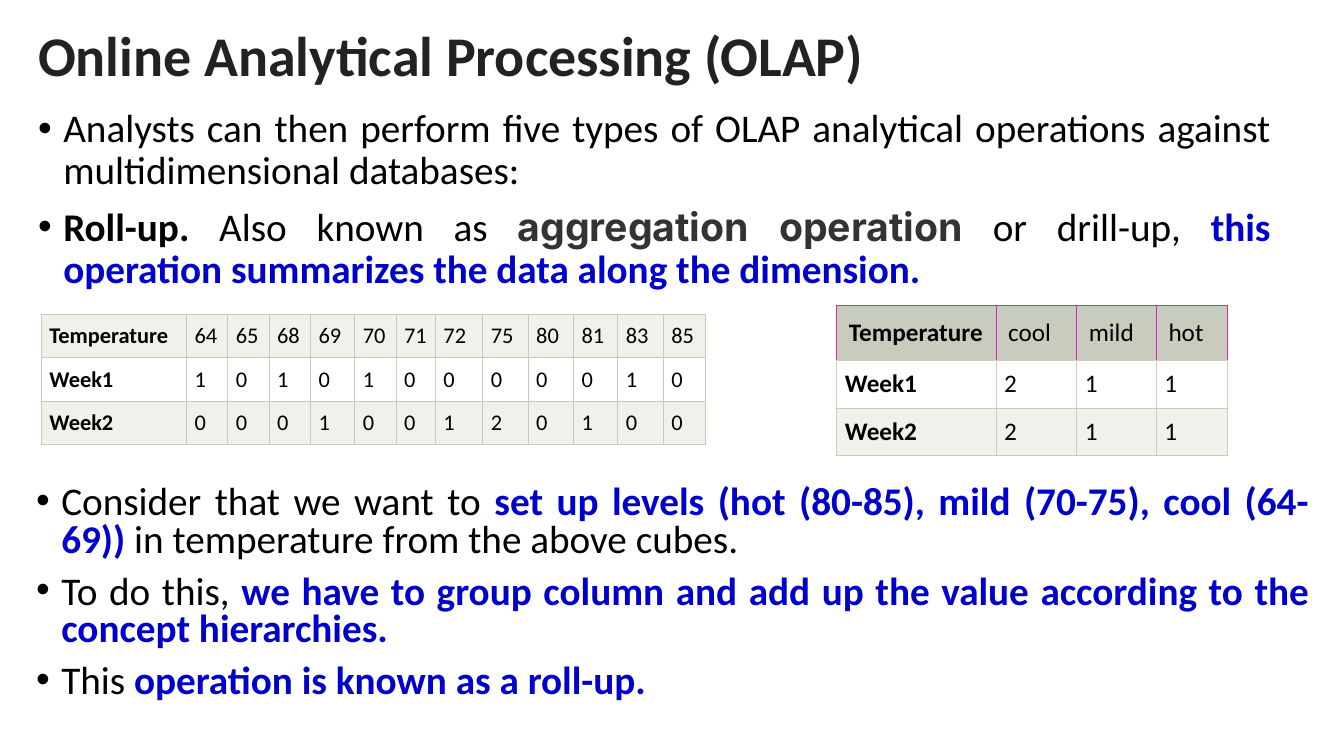
"""Build a slide on the OLAP roll-up operation with its two example tables."""
from dataclasses import dataclass

from lxml.etree import SubElement
from pptx import Presentation
from pptx.dml.color import RGBColor
from pptx.enum.text import MSO_ANCHOR, PP_ALIGN
from pptx.oxml.ns import qn
from pptx.util import Inches, Pt


@dataclass(frozen=True)
class Theme:
    """Fonts, sizes in points and colours of the slide."""
    body_font: str = "Calibri"
    accent_font: str = "Inter"
    title_size: int = 40
    text_size: int = 28
    wide_size: int = 16
    narrow_size: int = 18
    title: str = "222222"
    ink: str = "000000"
    key: str = "0000CC"
    term: str = "333333"
    grid: str = "C7CCBE"
    band: str = "EFF1EB"
    paper: str = "FFFFFF"
    edge: str = "E021AF"


THEME = Theme()

RUN_STYLES = {
    "plain": (THEME.body_font, THEME.ink, False),
    "bold": (THEME.body_font, THEME.ink, True),
    "title": (THEME.body_font, THEME.title, True),
    "key": (THEME.body_font, THEME.key, True),
    "term": (THEME.accent_font, THEME.term, True),
}

TITLE = [[("Online Analytical Processing (OLAP)", "title")]]

OPERATIONS = [
    [("Analysts can then perform five types of OLAP analytical operations "
      "against multidimensional databases:", "plain")],
    [("Roll-up.", "bold"), (" Also known as ", "plain"),
     ("aggregation operation ", "term"), ("or drill-up, ", "plain"),
     ("this operation summarizes the data along the dimension.", "key")],
]

LEVELS = [
    [("Consider that we want to ", "plain"),
     ("set up levels (hot (80-85), mild (70-75), cool (64-69)) ", "key"),
     ("in temperature from the above cubes.", "plain")],
    [("To do this, ", "plain"),
     ("we have to group column and add up the value according to the "
      "concept hierarchies.", "key")],
    [("This ", "plain"), ("operation is known as a roll-up.", "key")],
]

DAILY = [
    ("Temperature", 64, 65, 68, 69, 70, 71, 72, 75, 80, 81, 83, 85),
    ("Week1", 1, 0, 1, 0, 1, 0, 0, 0, 0, 0, 1, 0),
    ("Week2", 0, 0, 0, 1, 0, 0, 1, 2, 0, 1, 0, 0),
]
DAILY_WIDTHS = (1.44, .41, .41, .41, .44, .41, .39, .47, .45, .45, .44, .45, .42)

ROLLED_UP = [
    ("Temperature", "cool", "mild", "hot"),
    ("Week1", 2, 1, 1),
    ("Week2", 2, 1, 1),
]
ROLLED_UP_WIDTHS = (1.58, .8, .79, .7)


def write(frame, paragraphs, *, size, align=PP_ALIGN.LEFT, spacing=None, bullet=False):
    """Write paragraphs of (text, style) runs into a text frame."""
    for index, runs in enumerate(paragraphs):
        paragraph = frame.add_paragraph() if index else frame.paragraphs[0]
        paragraph.alignment = align
        if spacing:
            paragraph.line_spacing = spacing
        if index:
            paragraph.space_before = Pt(10)
        if bullet:
            properties = paragraph._p.get_or_add_pPr()
            properties.set("marL", str(Inches(.25)))
            properties.set("indent", str(-Inches(.25)))
            SubElement(properties, qn("a:buFont"), typeface="Arial")
            SubElement(properties, qn("a:buChar"), char="•")
        for text, style in runs:
            run = paragraph.add_run()
            run.text = text
            face, color, bold = RUN_STYLES[style]
            run.font.name, run.font.size, run.font.bold = face, Pt(size), bold
            run.font.color.rgb = RGBColor.from_string(color)


def add_text(slide, box, paragraphs, anchor=MSO_ANCHOR.TOP, **text_format):
    """Add a wrapping text box."""
    frame = slide.shapes.add_textbox(*map(Inches, box)).text_frame
    frame.word_wrap = True
    frame.vertical_anchor = anchor
    write(frame, paragraphs, **text_format)


def paint_cell(cell, fill, margin, edge):
    """Set borders, fill and margins; edge colours all sides but the bottom."""
    properties = cell._tc.get_or_add_tcPr()
    for side, color in zip("LRTB", (edge, edge, edge, THEME.grid)):
        line = SubElement(properties, qn(f"a:ln{side}"), w=str(Pt(.75)))
        SubElement(SubElement(line, qn("a:solidFill")), qn("a:srgbClr"), val=color)
    cell.fill.solid()
    cell.fill.fore_color.rgb = RGBColor.from_string(fill)
    cell.margin_left = cell.margin_right = Inches(margin)
    cell.margin_top = cell.margin_bottom = Inches(margin)


def add_grid(slide, left, top, rows, widths, heights, size, strong_header=False):
    """Add a banded table with a bold first column."""
    table = slide.shapes.add_table(
        len(rows), len(widths), Inches(left), Inches(top),
        Inches(sum(widths)), Inches(sum(heights))).table
    table.first_row = table.horz_banding = False
    for column, width in zip(table.columns, widths):
        column.width = Inches(width)
    for r, (values, height) in enumerate(zip(rows, heights)):
        table.rows[r].height = Inches(height)
        strong = strong_header and r == 0
        banded = THEME.paper if r % 2 else THEME.band
        for c, value in enumerate(values):
            cell = table.cell(r, c)
            paint_cell(cell, THEME.grid if strong else banded,
                       .12 if strong else .08,
                       THEME.edge if strong else THEME.grid)
            write(cell.text_frame, [[(str(value), "plain" if c else "bold")]], size=size,
                  align=PP_ALIGN.LEFT if strong else PP_ALIGN.JUSTIFY)


def main():
    """Compose and save the slide."""
    deck = Presentation()
    deck.slide_width, deck.slide_height = Inches(13.33), Inches(7.5)
    slide = deck.slides.add_slide(deck.slide_layouts[6])
    bullets = dict(size=THEME.text_size, align=PP_ALIGN.JUSTIFY, bullet=True)

    add_text(slide, (.28, .13, 11.5, .9), TITLE, MSO_ANCHOR.MIDDLE,
             size=THEME.title_size, spacing=.9)
    add_text(slide, (.28, 1.03, 12.42, 6.23), OPERATIONS, spacing=.9, **bullets)
    add_grid(slide, .41, 3.12, DAILY, DAILY_WIDTHS, (.43, .43, .43), THEME.wide_size)
    add_grid(slide, 8.3, 3.03, ROLLED_UP, ROLLED_UP_WIDTHS, (.55, .47, .47),
             THEME.narrow_size, strong_header=True)
    add_text(slide, (.26, 4.77, 12.82, 2.29), LEVELS, spacing=.8, **bullets)
    deck.save("out.pptx")


if __name__ == "__main__":
    main()
